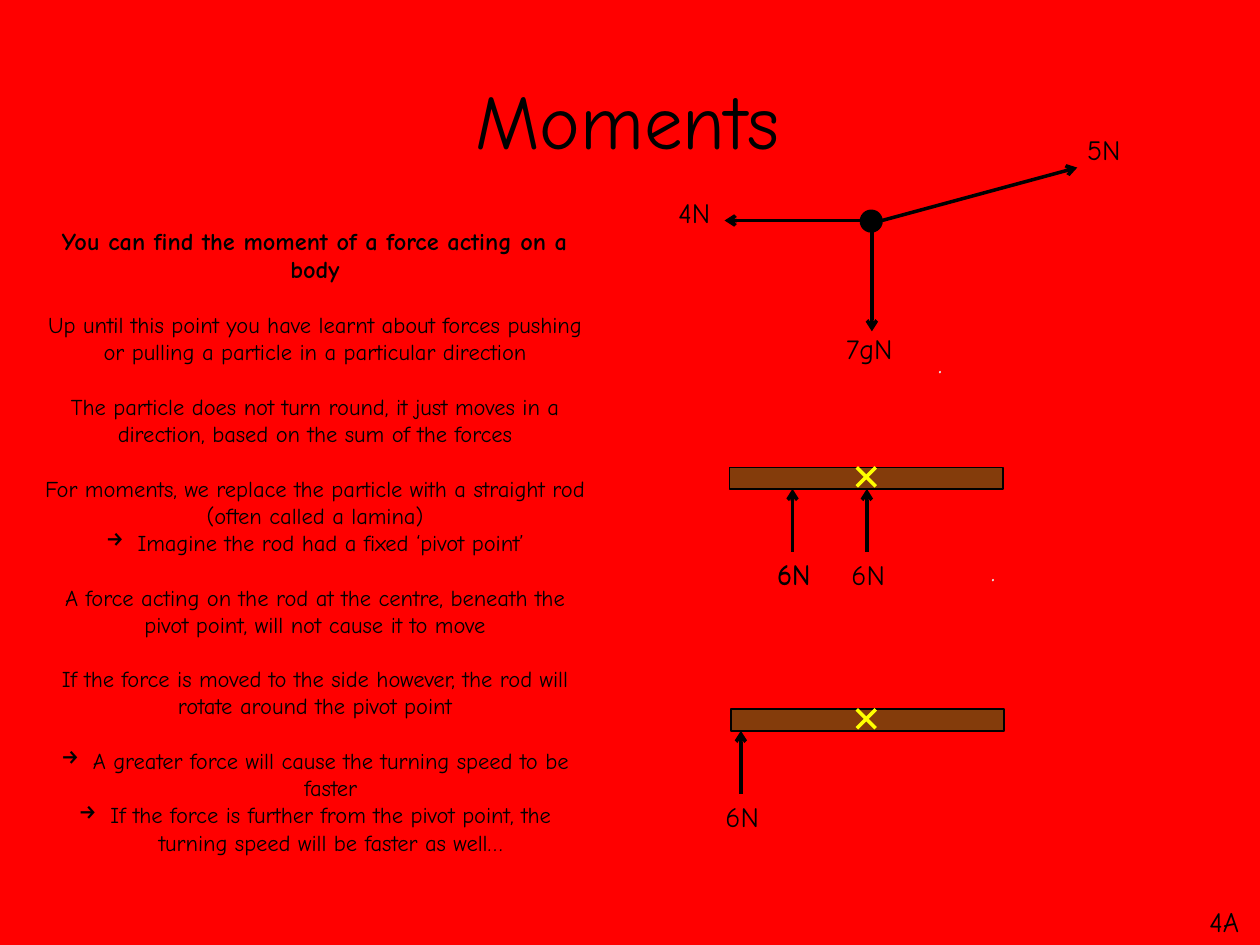
from lxml import etree
from pptx import Presentation
from pptx.dml.color import RGBColor
from pptx.enum.shapes import MSO_CONNECTOR, MSO_SHAPE
from pptx.enum.text import MSO_ANCHOR, PP_ALIGN
from pptx.oxml.ns import qn
from pptx.util import Inches, Pt

FONT = "Comic Neue"
RED = RGBColor(0xFF, 0x00, 0x00)
BLACK = RGBColor(0x00, 0x00, 0x00)
BROWN = RGBColor(0x84, 0x3C, 0x0B)
YELLOW = RGBColor(0xFF, 0xFF, 0x00)
PALE_GREY = RGBColor(0xE6, 0xE1, 0xE1)
CENTER, LEFT = PP_ALIGN.CENTER, PP_ALIGN.LEFT
STRAIGHT = MSO_CONNECTOR.STRAIGHT
RECTANGLE, OVAL = MSO_SHAPE.RECTANGLE, MSO_SHAPE.OVAL

TITLE = "Moments"
HEADING = "You can find the moment of a force acting on a body"
# (text, bulleted, gap above)
BODY = [
    ("Up until this point you have learnt about forces pushing or pulling a particle "
     "in a particular direction", False, True),
    ("The particle does not turn round, it just moves in a direction, based on the sum "
     "of the forces", False, True),
    ("For moments, we replace the particle with a straight rod (often called a lamina)",
     False, True),
    ("Imagine the rod had a fixed ‘pivot point’", True, False),
    ("A force acting on the rod at the centre, beneath the pivot point, will not cause "
     "it to move", False, True),
    ("If the force is moved to the side however, the rod will rotate around the pivot "
     "point", False, True),
    ("A greater force will cause the turning speed to be faster", True, True),
    ("If the force is further from the pivot point, the turning speed will be faster "
     "as well…", True, False),
]
BODY_LINE = Pt(15.55)
HEADING_LINE = Pt(16.3)

# (text, left, top, width)
LABELS = [
    ("5N", 8.5, 1, 0.52), ("4N", 5.25, 1.5, 0.52), ("7gN", 6.58, 2.58, 0.64),
    ("6N", 6.04, 4.37, 0.52), ("6N", 6.04, 4.38, 0.52), ("6N", 6.63, 4.38, 0.52),
    ("6N", 5.63, 6.3, 0.52),
]
DOTS = [(7.33, 2.85), (7.75, 4.5)]
PARTICLE_FORCES = [((7, 1.75), (8.55, 1.33)), ((6.92, 1.75), (6.92, 2.63)),
                   ((6.83, 1.75), (5.75, 1.75))]
# (left, top, x positions of the upward forces)
RODS = [(5.79, 3.71, [6.29, 6.88]), (5.8, 5.63, [5.88])]
ROD_WIDTH, ROD_HEIGHT = 2.17, 0.17
FORCE_LENGTH = 0.5
PIVOT_LEFT, PIVOT_SIZE = 6.8, 0.15


def add_text(slide, text, left, top, width, height=0.37, size=16, color=BLACK,
             align=CENTER, wrap=False):
    box = slide.shapes.add_textbox(Inches(left), Inches(top), Inches(width), Inches(height))
    box.text_frame.word_wrap = wrap
    paragraph = box.text_frame.paragraphs[0]
    paragraph.text = text
    style_paragraph(paragraph, size, color, align)
    return box


def style_paragraph(paragraph, size, color=BLACK, align=CENTER):
    paragraph.alignment = align
    paragraph.font.name = FONT
    paragraph.font.size = Pt(size)
    paragraph.font.color.rgb = color


def add_arrow_bullet(paragraph):
    properties = paragraph._p.get_or_add_pPr()
    properties.set("marL", str(Inches(0.25)))
    properties.set("indent", str(-Inches(0.25)))
    bullet = etree.Element(qn("a:buChar"), char="→")
    properties.find(qn("a:defRPr")).addprevious(bullet)


def add_line(slide, start, end, color=BLACK, arrow=False):
    line = slide.shapes.add_connector(STRAIGHT, *map(Inches, start + end))
    line.line.color.rgb = color
    line.line.width = Pt(2)
    if arrow:
        etree.SubElement(line.line._get_or_add_ln(), qn("a:tailEnd"), type="arrow")
    etree.SubElement(line._element.spPr, qn("a:effectLst"))


def add_solid(slide, kind, left, top, width, height, color):
    shape = slide.shapes.add_shape(kind, *map(Inches, (left, top, width, height)))
    shape.shadow.inherit = False
    shape.fill.solid()
    shape.fill.fore_color.rgb = color
    shape.line.color.rgb = BLACK
    shape.line.width = Pt(1)


def add_body(slide):
    box = add_text(slide, HEADING, 0.25, 1.75, 4.5, 5.62, size=13.9, wrap=True)
    frame = box.text_frame
    frame.paragraphs[0].font.bold = True
    frame.paragraphs[0].line_spacing = HEADING_LINE
    for text, bulleted, gap in BODY:
        paragraph = frame.add_paragraph()
        paragraph.text = text
        style_paragraph(paragraph, 12.9)
        paragraph.line_spacing = BODY_LINE
        paragraph.space_before = BODY_LINE if gap else Pt(0)
        if bulleted:
            add_arrow_bullet(paragraph)


def add_rod(slide, left, top, force_positions):
    """Draw a rod with its pivot cross and the forces pushing up on it."""
    add_solid(slide, RECTANGLE, left, top, ROD_WIDTH, ROD_HEIGHT, BROWN)
    right, bottom = PIVOT_LEFT + PIVOT_SIZE, top + PIVOT_SIZE
    add_line(slide, (PIVOT_LEFT, top), (right, bottom), YELLOW)
    add_line(slide, (right, top), (PIVOT_LEFT, bottom), YELLOW)
    underside = top + ROD_HEIGHT
    for x in force_positions:
        add_line(slide, (x, underside + FORCE_LENGTH), (x, underside), arrow=True)


def main():
    presentation = Presentation()
    presentation.slide_width, presentation.slide_height = Inches(10), Inches(7.5)
    slide = presentation.slides.add_slide(presentation.slide_layouts[6])
    slide.background.fill.solid()
    slide.background.fill.fore_color.rgb = RED

    title = add_text(slide, TITLE, 0.67, 0.26, 8.62, 1.45, size=44, wrap=True)
    title.text_frame.vertical_anchor = MSO_ANCHOR.MIDDLE
    title.text_frame.paragraphs[0].line_spacing = 0.9
    add_body(slide)
    add_text(slide, "4A", 9.5, 7.13, 0.5, align=LEFT)

    for start, end in PARTICLE_FORCES:
        add_line(slide, start, end, arrow=True)
    add_solid(slide, OVAL, 6.83, 1.67, 0.17, 0.17, BLACK)
    for rod in RODS:
        add_rod(slide, *rod)
    for label in LABELS:
        add_text(slide, *label)
    for left, top in DOTS:
        add_text(slide, ".", left, top, 0.26, color=PALE_GREY).rotation = 180

    presentation.save("out.pptx")


if __name__ == "__main__":
    main()
